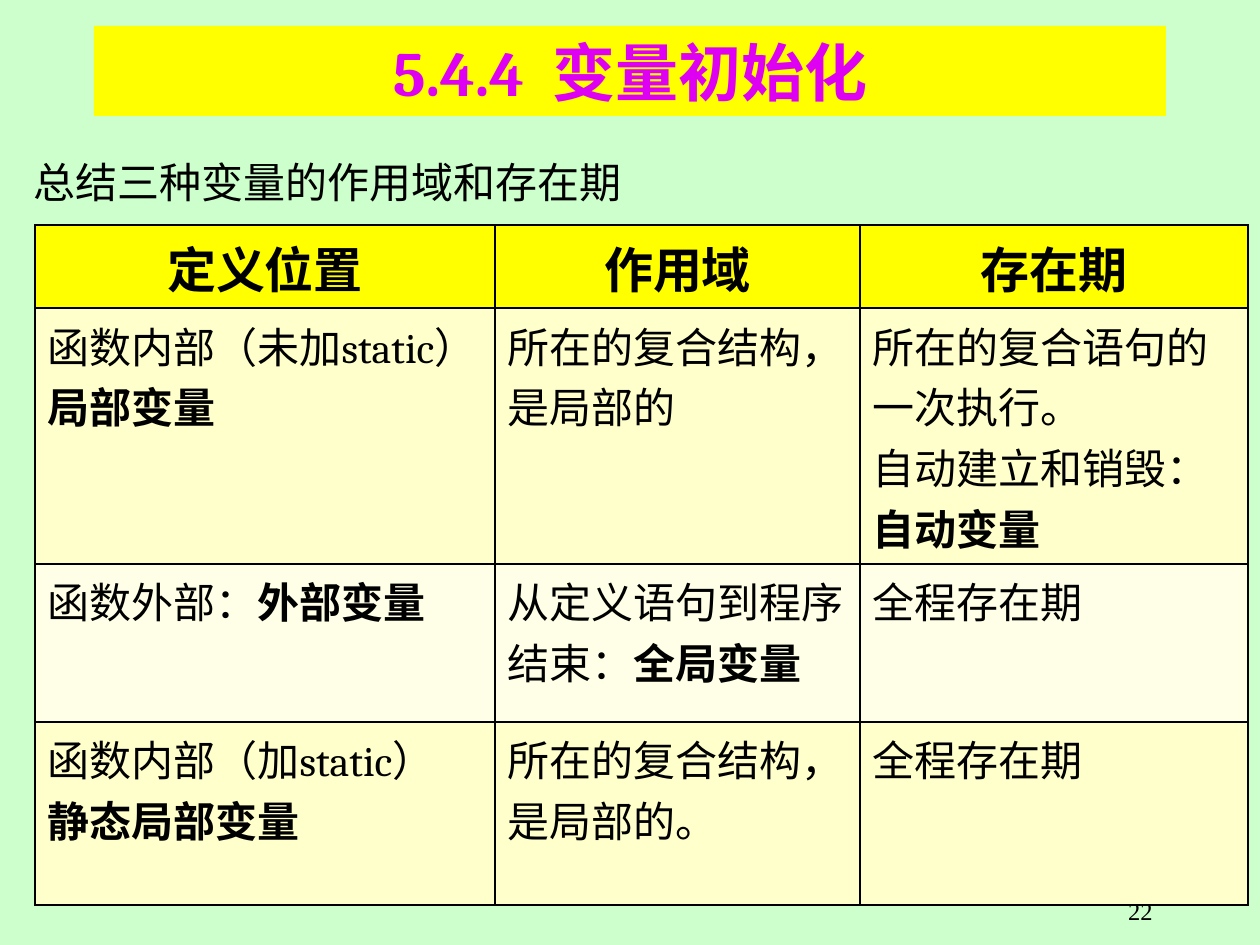
from dataclasses import dataclass

from lxml import etree
from pptx import Presentation
from pptx.dml.color import RGBColor
from pptx.enum.lang import MSO_LANGUAGE_ID
from pptx.enum.shapes import MSO_SHAPE
from pptx.enum.text import MSO_ANCHOR, PP_ALIGN
from pptx.oxml.ns import qn
from pptx.util import Emu, Pt

RECTANGLE = MSO_SHAPE.RECTANGLE
MIDDLE = MSO_ANCHOR.MIDDLE
TOP = MSO_ANCHOR.TOP
LEFT, CENTER, RIGHT = PP_ALIGN.LEFT, PP_ALIGN.CENTER, PP_ALIGN.RIGHT
CHINESE = MSO_LANGUAGE_ID.SIMPLIFIED_CHINESE

EMU_PER_PX = 914400 / 126


@dataclass(frozen=True)
class Theme:
    background: str = "CCFFCC"
    highlight: str = "FFFF00"
    title: str = "DE00F2"
    text: str = "000000"
    row_bands: tuple = ("FFFFCC", "FFFFE7")
    font: str = "Cambria"
    number_font: str = "Times New Roman"
    title_size: int = 36
    header_size: int = 28
    body_size: int = 24
    number_size: int = 14
    border_width: int = 1


THEME = Theme()

HEADERS = ["定义位置", "作用域", "存在期"]
# Each cell is a list of paragraphs; each paragraph is a list of (text, bold) runs.
BODY_ROWS = [
    [
        [[("函数内部（未加static）", False)], [("局部变量", True)]],
        [[("所在的复合结构，是局部的", False)]],
        [[("所在的复合语句的一次执行。", False)],
         [("自动建立和销毁：", False), ("自动变量", True)]],
    ],
    [
        [[("函数外部：", False), ("外部变量", True)]],
        [[("从定义语句到程序结束：", False), ("全局变量", True)]],
        [[("全程存在期", False)]],
    ],
    [
        [[("函数内部（加static）", False)], [("静态局部变量", True)]],
        [[("所在的复合结构，是局部的。", False)]],
        [[("全程存在期", False)]],
    ],
]
COLUMN_SHARES = [460, 365, 388]
ROW_HEIGHTS = [83, 256, 158, 183]


def px(length):
    return Emu(round(length * EMU_PER_PX))


def paint(fill, color):
    fill.solid()
    fill.fore_color.rgb = RGBColor.from_string(color)


def add_run(paragraph, text, size, bold=False, color=THEME.text, font=THEME.font):
    run = paragraph.add_run()
    run.text = text
    run.font.size = Pt(size)
    run.font.bold = bold
    run.font.name = font
    run.font.color.rgb = RGBColor.from_string(color)
    run.font.language_id = CHINESE
    return run


def write_paragraphs(text_frame, paragraphs, size, alignment=LEFT):
    for index, runs in enumerate(paragraphs):
        paragraph = text_frame.paragraphs[0] if index == 0 else text_frame.add_paragraph()
        paragraph.alignment = alignment
        for text, bold in runs:
            add_run(paragraph, text, size, bold)


def add_text_box(slide, box):
    text_frame = slide.shapes.add_textbox(*map(px, box)).text_frame
    text_frame.word_wrap = True
    return text_frame


def set_borders(cell):
    properties = cell._tc.get_or_add_tcPr()
    for index, side in enumerate(("a:lnL", "a:lnR", "a:lnT", "a:lnB")):
        line = etree.Element(qn(side), w=str(Pt(THEME.border_width)))
        fill = etree.SubElement(line, qn("a:solidFill"))
        etree.SubElement(fill, qn("a:srgbClr"), val=THEME.text)
        properties.insert(index, line)


def add_title(slide, box):
    banner = slide.shapes.add_shape(RECTANGLE, *map(px, box))
    banner.shadow.inherit = False
    paint(banner.fill, THEME.highlight)
    banner.line.fill.background()
    banner.text_frame.word_wrap = True
    banner.text_frame.vertical_anchor = MIDDLE
    paragraph = banner.text_frame.paragraphs[0]
    paragraph.alignment = CENTER
    number, gap, heading = (
        add_run(paragraph, text, THEME.title_size, True, THEME.title)
        for text in ("5.4.4", " ", "变量初始化")
    )
    # Letter spacing widens the gap between number and heading
    gap.font._element.set("spc", "800")


def add_summary(slide, box):
    text_frame = add_text_box(slide, box)
    write_paragraphs(text_frame, [[("总结三种变量的作用域和存在期", False)]], THEME.body_size)


def add_page_number(slide, box):
    paragraph = add_text_box(slide, box).paragraphs[0]
    paragraph.alignment = RIGHT
    add_run(paragraph, "22", THEME.number_size, font=THEME.number_font)


def add_variable_table(slide, box):
    left, top, width, height = box
    frame = slide.shapes.add_table(len(BODY_ROWS) + 1, len(HEADERS), *map(px, box))
    table = frame.table
    for column, share in zip(table.columns, COLUMN_SHARES):
        column.width = px(width * share / sum(COLUMN_SHARES))
    for row, share in zip(table.rows, ROW_HEIGHTS):
        row.height = px(height * share / sum(ROW_HEIGHTS))

    # Header row
    for index, header in enumerate(HEADERS):
        cell = table.cell(0, index)
        write_paragraphs(cell.text_frame, [[(header, True)]], THEME.header_size, CENTER)
        paint(cell.fill, THEME.highlight)

    # Body rows in alternating bands
    for row_index, row in enumerate(BODY_ROWS):
        band = THEME.row_bands[row_index % len(THEME.row_bands)]
        for column_index, paragraphs in enumerate(row):
            cell = table.cell(row_index + 1, column_index)
            write_paragraphs(cell.text_frame, paragraphs, THEME.body_size)
            paint(cell.fill, band)

    for cell in table.iter_cells():
        cell.vertical_anchor = TOP
        set_borders(cell)


def main():
    presentation = Presentation()
    presentation.slide_width = px(1260)
    presentation.slide_height = px(945)
    slide = presentation.slides.add_slide(presentation.slide_layouts[6])
    paint(slide.background.fill, THEME.background)

    add_title(slide, (94, 26, 1072, 90))
    add_page_number(slide, (903, 890, 262, 35))
    add_variable_table(slide, (35, 225, 1213, 680))
    add_summary(slide, (21, 150, 742, 63))

    presentation.save("out.pptx")


if __name__ == "__main__":
    main()
